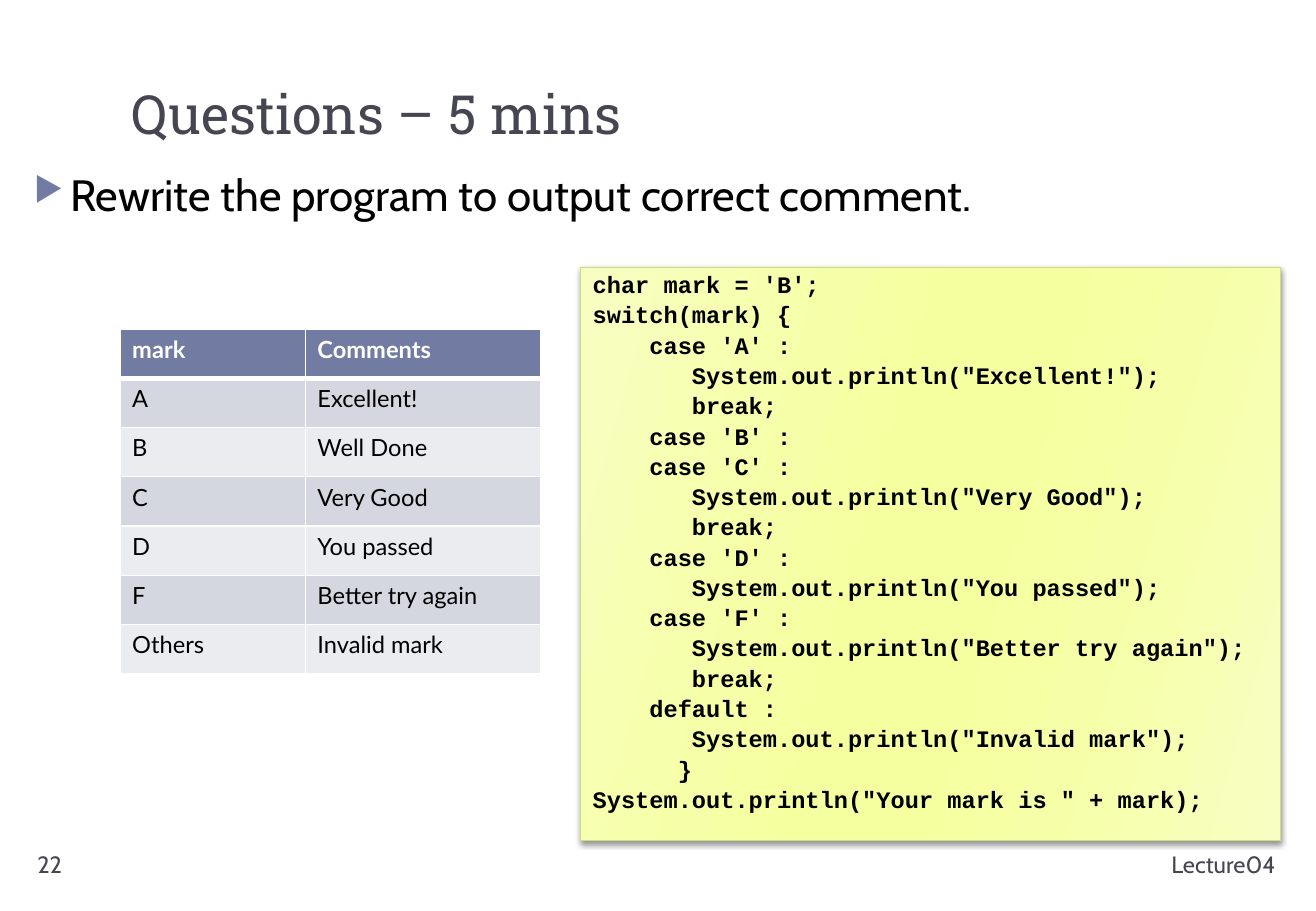
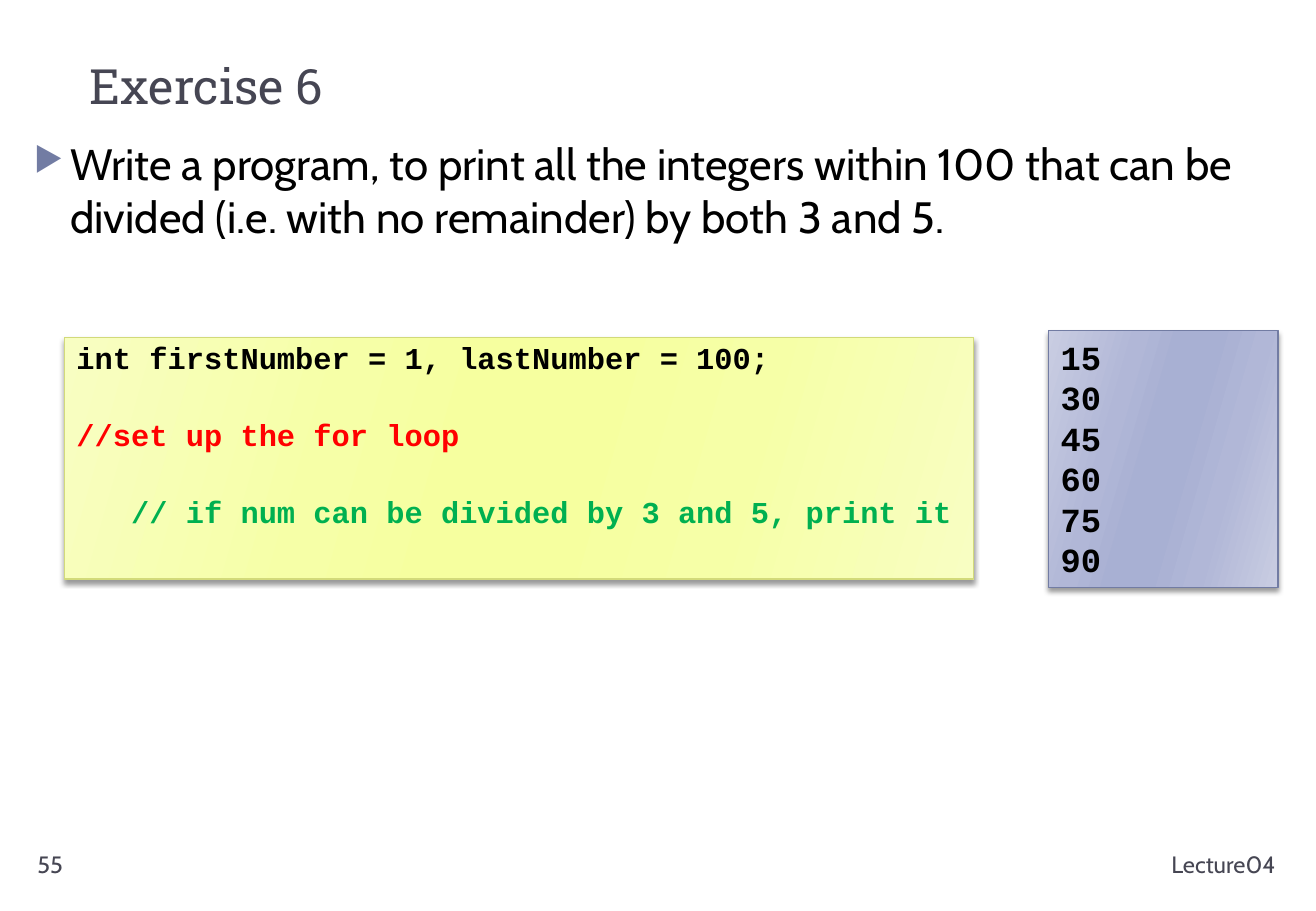
from collections import namedtuple
from dataclasses import dataclass

from lxml import etree
from pptx import Presentation
from pptx.dml.color import RGBColor as RGB
from pptx.enum.shapes import MSO_SHAPE as Shape
from pptx.enum.text import MSO_ANCHOR as Anchor, PP_ALIGN as Align
from pptx.oxml.ns import qn
from pptx.util import Cm, Pt

Box = namedtuple("Box", "x y w h")
Panel = namedtuple("Panel", "edge outer middle inner")


@dataclass(frozen=True)
class Theme:
    heading: str = "Roboto Slab"
    body: str = "Cabin"
    mono: str = "Courier New"
    cells: str = "Lato"
    title_size: float = 32
    small_title_size: float = 28.8
    body_size: float = 26
    output_size: float = 20
    code_size: float = 18
    small_size: float = 14
    black: str = "000000"
    white: str = "FFFFFF"
    grey: str = "464653"
    accent: str = "727CA3"
    red: str = "FF0000"
    green: str = "00B050"
    bands: tuple = ("D5D7E0", "EBECF0")
    yellow: Panel = Panel("D2DA7A", "F8FEC2", "F6FFA7", "F6FF9F")
    blue: Panel = Panel("727CA3", "C9CDE2", "B1B7D7", "A8B0D3")


T = Theme()
FOOTER = "Lecture04"

MARKS = [
    ("mark", "Comments"),
    ("A", "Excellent!"),
    ("B", "Well Done"),
    ("C", "Very Good"),
    ("D", "You passed"),
    ("F", "Better try again"),
    ("Others", "Invalid mark"),
]

SWITCH_CODE = """char mark = 'B';
switch(mark) {
    case 'A' :
       System.out.println("Excellent!");
       break;
    case 'B' :
    case 'C' :
       System.out.println("Very Good");
       break;
    case 'D' :
       System.out.println("You passed");
    case 'F' :
       System.out.println("Better try again");
       break;
    default :
       System.out.println("Invalid mark");
      }
System.out.println("Your mark is " + mark);"""

LOOP_CODE = [
    ("int firstNumber = 1, lastNumber = 100;", T.black),
    ("//set up the for loop", T.red),
    ("   // if num can be divided by 3 and 5, print it", T.green),
]


def sub(parent, tag, **attrs):
    return etree.SubElement(parent, qn(tag), {k: str(v) for k, v in attrs.items()})


def cm(box):
    return [Cm(v) for v in box]


def write(p, text, font=T.body, size=T.small_size, color=T.black, bold=False,
          align=Align.LEFT, before=0, spacing=None):
    p.alignment = align
    if before:
        p.space_before = Pt(before)
    if spacing:
        p.line_spacing = spacing
    r = p.add_run()
    r.text = text
    r.font.name, r.font.size, r.font.bold = font, Pt(size), bold
    r.font.color.rgb = RGB.from_string(color)


def text_box(s, box, text, anchor=Anchor.TOP, **fmt):
    tf = s.shapes.add_textbox(*cm(box)).text_frame
    tf.word_wrap = True
    tf.vertical_anchor = anchor
    write(tf.paragraphs[0], text, **fmt)
    return tf


def bullet_text(s, box, text):
    p = text_box(s, box, text, size=T.body_size).paragraphs[0]
    pPr = p._p.get_or_add_pPr()
    pPr.set("marL", str(Cm(0.76)))
    pPr.set("indent", str(-Cm(0.76)))
    sub(sub(pPr, "a:buClr"), "a:srgbClr", val=T.accent)
    sub(pPr, "a:buSzPct", val=76000)
    sub(pPr, "a:buChar", char="▶")


def page(prs, number, title, title_box, body, body_top, title_size):
    s = prs.slides.add_slide(prs.slide_layouts[6])
    text_box(s, title_box, title, anchor=Anchor.BOTTOM, font=T.heading,
             size=title_size, color=T.grey)
    bullet_text(s, Box(0.46, body_top, 26.37, 14.17), body)
    text_box(s, Box(0.53, 17.65, 5.97, 1.02), str(number), color=T.grey)
    text_box(s, Box(20.04, 17.65, 6.88, 1.02), FOOTER, color=T.grey, align=Align.RIGHT)
    return s


def panel(s, box, look, lines, size, before=0, spacing=None):
    sp = s.shapes.add_shape(Shape.RECTANGLE, *cm(box))
    sp.fill.gradient()
    sp.fill.gradient_angle = 344
    stops = sp._element.spPr.find(".//" + qn("a:gsLst"))
    for stop in list(stops):
        stops.remove(stop)
    ramp = [look.outer, look.middle, look.inner]
    for pos, color in zip((0, 30, 45, 55, 73, 100), ramp + ramp[::-1]):
        sub(sub(stops, "a:gs", pos=pos * 1000), "a:srgbClr", val=color)
    sp.line.color.rgb = RGB.from_string(look.edge)
    sp.line.width = Pt(0.75)
    sp.shadow.inherit = False
    effects = sp._element.spPr.find(qn("a:effectLst"))
    shadow = sub(effects, "a:outerShdw", blurRad=Pt(3), dist=Pt(2), dir=5400000,
                 rotWithShape=0)
    sub(sub(shadow, "a:srgbClr", val=T.black), "a:alpha", val=40000)
    tf = sp.text_frame
    tf.word_wrap = True
    tf.vertical_anchor = Anchor.TOP
    for i, (line, color) in enumerate(lines):
        p = tf.add_paragraph() if i else tf.paragraphs[0]
        write(p, line, font=T.mono, size=size, color=color, bold=True,
              before=before if i else 0, spacing=spacing)


def border(cell, side, width):
    ln = sub(cell._tc.get_or_add_tcPr(), "a:ln" + side, w=Pt(width))
    sub(sub(ln, "a:solidFill"), "a:srgbClr", val=T.white)


def marks_table(s, box, rows, shares):
    tbl = s.shapes.add_table(len(rows), len(shares), *cm(box)).table
    for col, share in zip(tbl.columns, shares):
        col.width = Cm(box.w * share)
    for i, row in enumerate(rows):
        tbl.rows[i].height = Cm(box.h / len(rows))
        head = i == 0
        for j, text in enumerate(row):
            cell = tbl.cell(i, j)
            for side in "LRTB":
                thick = (head and side == "B") or (i == 1 and side == "T")
                border(cell, side, 3 if thick else 1)
            cell.fill.solid()
            fill = T.accent if head else T.bands[(i - 1) % 2]
            cell.fill.fore_color.rgb = RGB.from_string(fill)
            write(cell.text_frame.paragraphs[0], text, font=T.cells,
                  color=T.white if head else T.black, bold=head)


def questions_slide(prs):
    s = page(prs, 22, "Questions – 5 mins", Box(2.51, 0.43, 24.26, 2.74),
             "Rewrite the program to output correct comment.", 3.38, T.title_size)
    lines = [(line, T.black) for line in SWITCH_CODE.splitlines()]
    panel(s, Box(12.14, 5.59, 14.63, 11.99), T.yellow, lines, T.small_size,
          before=2.8, spacing=0.9)
    marks_table(s, Box(2.51, 6.88, 8.8, 7.21), MARKS, (0.44, 0.56))


def exercise_slide(prs):
    s = page(prs, 55, "Exercise 6", Box(1.63, 1.24, 24.26, 1.27),
             "Write a program, to print all the integers within 100 that can be "
             "divided (i.e. with no remainder) by both 3 and 5.", 2.74,
             T.small_title_size)
    panel(s, Box(1.35, 7.06, 19, 5.05), T.yellow, LOOP_CODE, T.code_size,
          before=26, spacing=0.9)
    output = [(str(n), T.black) for n in range(15, 100, 15)]
    panel(s, Box(21.92, 6.91, 4.8, 5.38), T.blue, output, T.output_size)


def main():
    prs = Presentation()
    prs.slide_width, prs.slide_height = Cm(27.51), Cm(19.05)
    questions_slide(prs)
    exercise_slide(prs)
    prs.save("out.pptx")


if __name__ == "__main__":
    main()
